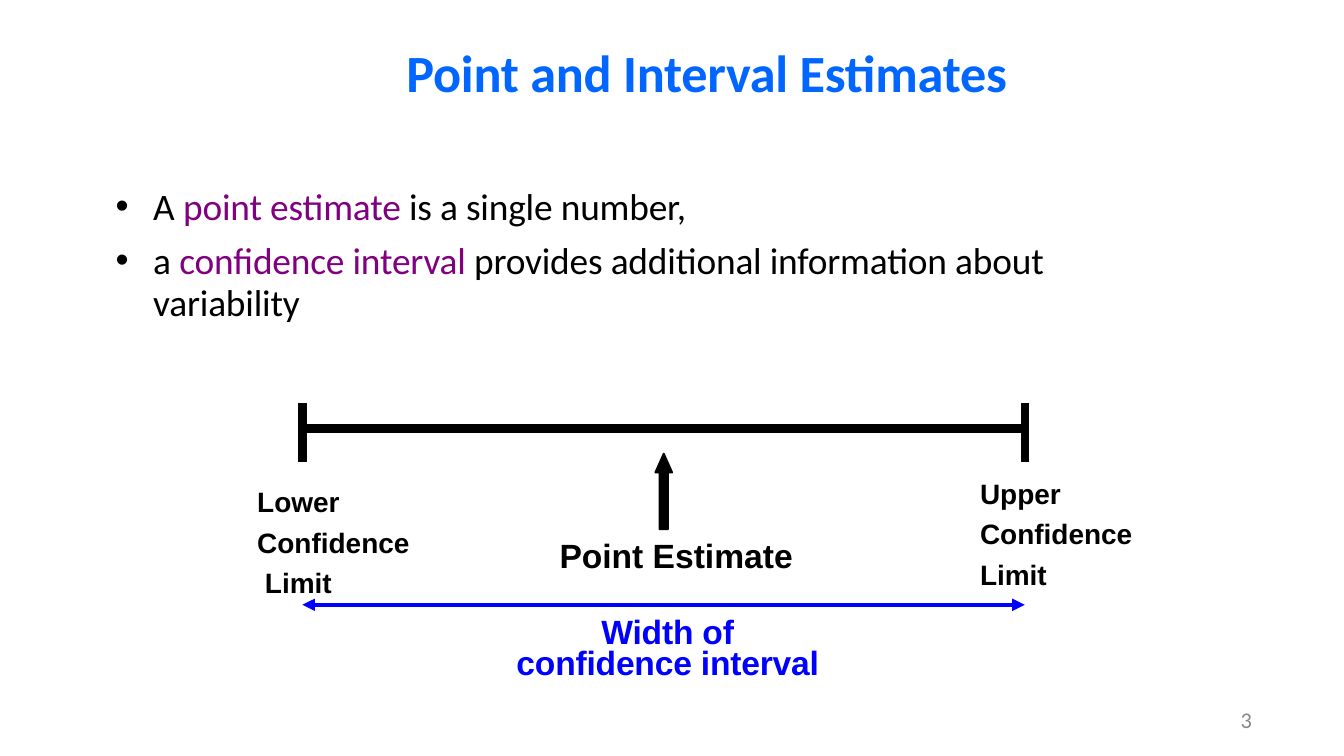
import dataclasses

import pptx
import pptx.dml.color
import pptx.enum.shapes
import pptx.enum.text
import pptx.oxml
import pptx.oxml.ns
import pptx.util

Pt = pptx.util.Pt
ALIGN = pptx.enum.text.PP_ALIGN


@dataclasses.dataclass(frozen=True)
class Theme:
    text_font: str = "Calibri"
    label_font: str = "Arial"
    title_size: float = 28
    body_size: float = 20
    caption_size: float = 18
    limit_size: float = 15
    number_size: float = 12
    title: str = "0066FF"
    ink: str = "000000"
    term: str = "800080"
    width: str = "0000FF"
    muted: str = "888888"


def rgb(color):
    return pptx.dml.color.RGBColor.from_string(color)


def add_element(parent, tag, **attributes):
    element = pptx.oxml.parse_xml(f"<{tag} {pptx.oxml.ns.nsdecls('a')}/>")
    for name, value in attributes.items():
        element.set(name, str(value))
    parent.append(element)


def add_span(para, text, *, font, size, color, bold=False, tracking=0):
    """Add formatted text to a paragraph; tracking is in points."""
    span = para.add_run()
    span.text = text
    span.font.name = font
    span.font.size = Pt(size)
    span.font.bold = bold
    span.font.color.rgb = rgb(color)
    if tracking:
        span.font._element.set("spc", str(round(tracking * 100)))


class SlideBuilder:
    def __init__(self, slide, theme):
        self.slide = slide
        self.theme = theme

    def prepare(self, box, bounds, inset_top):
        """Place a box and give its text frame plain settings."""
        box.left, box.top, box.width, box.height = map(Pt, bounds)
        frame = box.text_frame
        frame.word_wrap = True
        frame.auto_size = pptx.enum.text.MSO_AUTO_SIZE.NONE
        frame.vertical_anchor = pptx.enum.text.MSO_ANCHOR.TOP
        frame.margin_left = frame.margin_right = frame.margin_bottom = 0
        frame.margin_top = Pt(inset_top)
        return frame

    def title(self, text, bounds):
        frame = self.prepare(self.slide.shapes.title, bounds, inset_top=0.4)
        para = frame.paragraphs[0]
        para.alignment = ALIGN.LEFT
        add_span(para, text, font=self.theme.text_font, size=self.theme.title_size,
                 color=self.theme.title, bold=True, tracking=-0.1)

    def bullets(self, items, bounds):
        """Each item is a list of (text, color) pairs."""
        frame = self.prepare(self.slide.placeholders[1], bounds, inset_top=8.6)
        for index, item in enumerate(items):
            para = frame.add_paragraph() if index else frame.paragraphs[0]
            para.line_spacing = Pt(22.8)
            para.space_before = Pt(6 if index else 0)
            properties = para._p.get_or_add_pPr()
            properties.set("marL", str(Pt(21.6)))
            properties.set("indent", str(Pt(-20.2)))
            add_element(properties, "a:buChar", char="•")
            for text, color in item:
                add_span(para, text, font=self.theme.text_font,
                         size=self.theme.body_size, color=color, tracking=-0.1)

    def label(self, lines, bounds, *, inset_top=0, align=ALIGN.LEFT, pitch=None, **style):
        box = self.slide.shapes.add_textbox(0, 0, 0, 0)
        frame = self.prepare(box, bounds, inset_top)
        for index, line in enumerate(lines):
            para = frame.add_paragraph() if index else frame.paragraphs[0]
            para.alignment = align
            if pitch:
                para.line_spacing = Pt(pitch)
            add_span(para, line, **style)

    def capped_bar(self, left, right, top, bottom, bar_y, color, weight):
        """Draw a horizontal bar with an upright cap at each end."""
        builder = self.slide.shapes.build_freeform(Pt(left), Pt(bar_y))
        builder.add_line_segments([(Pt(right), Pt(bar_y))], close=False)
        for cap in (left, right):
            builder.move_to(Pt(cap), Pt(top))
            builder.add_line_segments([(Pt(cap), Pt(bottom))], close=False)
        bar = builder.convert_to_shape()
        bar.shadow.inherit = False
        bar.fill.background()
        bar.line.color.rgb = rgb(color)
        bar.line.width = Pt(weight)

    def double_arrow(self, start, end, color, weight):
        connector = self.slide.shapes.add_connector(
            pptx.enum.shapes.MSO_CONNECTOR.STRAIGHT, *map(Pt, (*start, *end)))
        connector.line.color.rgb = rgb(color)
        connector.line.width = Pt(weight)
        for tag in ("a:headEnd", "a:tailEnd"):
            add_element(connector.line._get_or_add_ln(), tag, type="triangle")
        add_element(connector._element.spPr, "a:effectLst")

    def up_arrow(self, bounds, color):
        arrow = self.slide.shapes.add_shape(
            pptx.enum.shapes.MSO_SHAPE.UP_ARROW, *map(Pt, bounds))
        arrow.adjustments[0] = 0.5
        arrow.adjustments[1] = 1.12
        arrow.shadow.inherit = False
        arrow.fill.solid()
        arrow.fill.fore_color.rgb = rgb(color)
        arrow.line.color.rgb = rgb(color)
        arrow.line.width = Pt(1)


def main():
    theme = Theme()
    deck = pptx.Presentation()
    deck.slide_width, deck.slide_height = Pt(720), Pt(405)
    page = SlideBuilder(deck.slides.add_slide(deck.slide_layouts[1]), theme)

    # Title and definitions
    page.title("Point and Interval Estimates", (217.7, 20.9, 328, 35.3))
    page.bullets([
        [("A ", theme.ink), ("point estimate ", theme.term),
         ("is a single number,", theme.ink)],
        [("a ", theme.ink), ("confidence interval ", theme.term),
         ("provides additional information about variability", theme.ink)],
    ], (60.5, 90.7, 505.4, 83.5))

    # Interval bar with its two end caps
    lower, upper = 162, 549
    page.capped_bar(lower, upper, 216, 247.5, 229.5, theme.ink, 4.5)

    # Point estimate in the middle of the interval
    middle = (lower + upper) / 2
    page.up_arrow((middle - 4.4, 243, 9, 40.5), theme.ink)
    caption = dict(font=theme.label_font, size=theme.caption_size, bold=True)
    page.label(["Point Estimate"], (299.8, 285.8, 127, 23.8),
               inset_top=0.9, color=theme.ink, **caption)

    # Confidence limits
    for lines, left, top in ((("Lower", "Confidence", " Limit"), 137.8, 255.9),
                             (("Upper", "Confidence", "Limit"), 525, 251.5)):
        page.label(lines, (left, top, 85, 66), pitch=21.7, font=theme.label_font,
                   size=theme.limit_size, color=theme.ink, bold=True)

    # Width of the interval
    page.double_arrow((lower, 324), (upper, 324), theme.width, 2.25)
    page.label(["Width of", "confidence interval"], (274.7, 326, 166, 40.3),
               inset_top=6.2, align=ALIGN.CENTER, pitch=16.6, color=theme.width,
               tracking=-0.1, **caption)

    # Page number
    page.label(["3"], (664.6, 380.2, 16.5, 13.7), pitch=12.4, font=theme.text_font,
               size=theme.number_size, color=theme.muted)

    deck.save("out.pptx")


if __name__ == "__main__":
    main()
